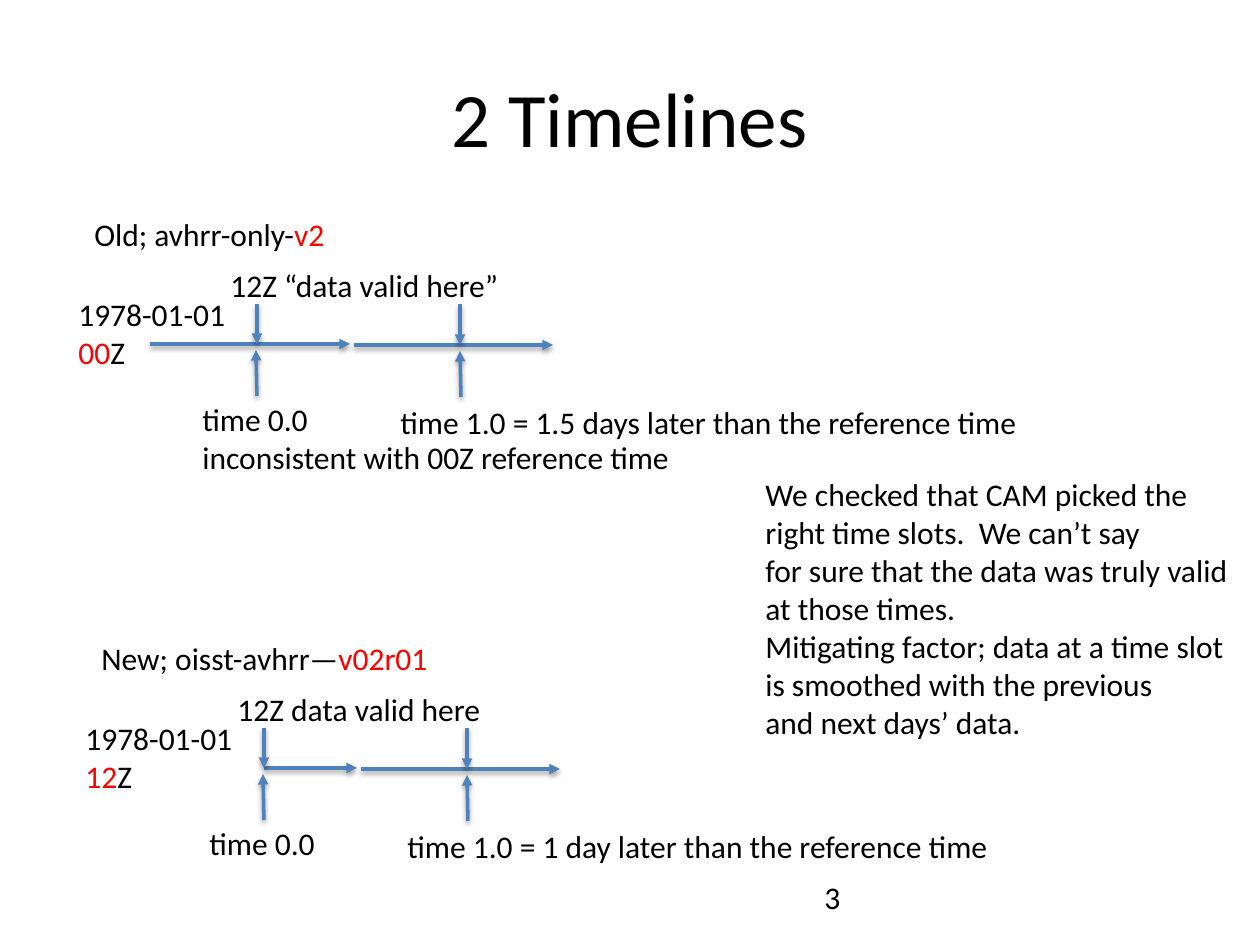
from dataclasses import dataclass

from lxml.etree import SubElement
from pptx import Presentation
from pptx.dml.color import RGBColor
from pptx.enum.shapes import MSO_CONNECTOR
from pptx.enum.text import MSO_ANCHOR, MSO_AUTO_SIZE, PP_ALIGN
from pptx.oxml.ns import qn
from pptx.util import Emu, Pt

PX = 914400 / 126


@dataclass(frozen=True)
class Theme:
    font: str = "Calibri"
    title_size: int = 44
    body_size: int = 18
    text: str = "000000"
    accent: str = "FF0000"
    line: str = "4F81BD"
    line_width: int = 2


THEME = Theme()


def px(value):
    return Emu(round(value * PX))


def add_text(slide, box, lines, size=THEME.body_size, align=PP_ALIGN.LEFT,
             anchor=MSO_ANCHOR.TOP, wrap=False):
    """Each line is a string or a list of (text, colour) runs."""
    shape = slide.shapes.add_textbox(*map(px, box))
    frame = shape.text_frame
    frame.word_wrap = wrap
    frame.auto_size = MSO_AUTO_SIZE.NONE if wrap else MSO_AUTO_SIZE.SHAPE_TO_FIT_TEXT
    frame.vertical_anchor = anchor
    for index, line in enumerate(lines):
        paragraph = frame.add_paragraph() if index else frame.paragraphs[0]
        paragraph.alignment = align
        for text, colour in [(line, THEME.text)] if isinstance(line, str) else line:
            run = paragraph.add_run()
            run.text = text
            run.font.name = THEME.font
            run.font.size = Pt(size)
            run.font.color.rgb = RGBColor.from_string(colour)


def add_arrow(slide, start, end):
    connector = slide.shapes.add_connector(
        MSO_CONNECTOR.STRAIGHT, *map(px, (*start, *end)))
    connector.line.color.rgb = RGBColor.from_string(THEME.line)
    connector.line.width = Pt(THEME.line_width)
    # Arrowhead and soft shadow below the line
    SubElement(connector.line._get_or_add_ln(), qn("a:tailEnd"), type="triangle")
    effects = SubElement(connector._element.spPr, qn("a:effectLst"))
    shadow = SubElement(effects, qn("a:outerShdw"), blurRad=str(Pt(3.1)),
                        dist=str(Pt(1.6)), dir="5400000", rotWithShape="0")
    colour = SubElement(shadow, qn("a:srgbClr"), val="000000")
    SubElement(colour, qn("a:alpha"), val="38000")


def add_timeline(slide, left, top, name, version, hour, first_day, valid, time_0, time_1):
    """valid, time_0 and time_1 are (width, lines); first_day is the axis start."""
    def label(x, y, width, lines):
        add_text(slide, (left + x, top + y, width, 38 * len(lines) + 12), lines)

    def arrow(start, end):
        add_arrow(slide, (left + start[0], top + start[1]),
                  (left + end[0], top + end[1]))

    # Labels
    name_width, name_text = name
    label(16, 0, name_width, [[(name_text, THEME.text), (version, THEME.accent)]])
    label(0, 80, 174, ["1978-01-01", [(hour, THEME.accent), ("Z", THEME.text)]])
    label(152, 51, *valid)
    label(124, 185, *time_0)
    label(322, 188, *time_1)

    # Two days, each marked from above and below
    arrow((first_day, 135), (284, 135))
    arrow((288, 136), (487, 136))
    for x, axis in ((191, 135), (394, 136)):
        arrow((x, 95), (x, axis))
    for x, axis in ((190, 135), (394, 136)):
        arrow((x + 1, axis + 52), (x, axis + 6))


def add_comments(slide, left, top):
    add_text(slide, (left, top, 493, 165), [
        "We checked that CAM picked the",
        "right time slots.  We can’t say",
        "for sure that the data was truly valid",
        "at those times.",
    ])
    add_text(slide, (left, top + 152, 503, 127), [
        "Mitigating factor; data at a time slot",
        "is smoothed with the previous",
        "and next days’ data.",
    ])


def main():
    presentation = Presentation()
    presentation.slide_width, presentation.slide_height = px(1260), px(945)
    slide = presentation.slides.add_slide(presentation.slide_layouts[6])

    # Title and page number
    add_text(slide, (63, 38, 1134, 157), ["2 Timelines"], size=THEME.title_size,
             align=PP_ALIGN.CENTER, anchor=MSO_ANCHOR.MIDDLE, wrap=True)
    add_text(slide, (812, 872, 60, 50), ["3"], wrap=True)

    # Old and new timelines
    add_timeline(
        slide, 66, 209, (257, "Old; avhrr-only-"), "v2", "00", first_day=84,
        valid=(296, ["12Z “data valid here”"]),
        time_0=(498, ["time 0.0", "inconsistent with 00Z reference time"]),
        time_1=(650, ["time 1.0 = 1.5 days later than the reference time"]))
    add_timeline(
        slide, 73, 633, (355, "New; oisst-avhrr—"), "v02r01", "12", first_day=191,
        valid=(271, ["12Z data valid here"]),
        time_0=(132, ["time 0.0"]),
        time_1=(614, ["time 1.0 = 1 day later than the reference time"]))

    # Comments
    add_comments(slide, 753, 469)
    presentation.save("out.pptx")


if __name__ == "__main__":
    main()
